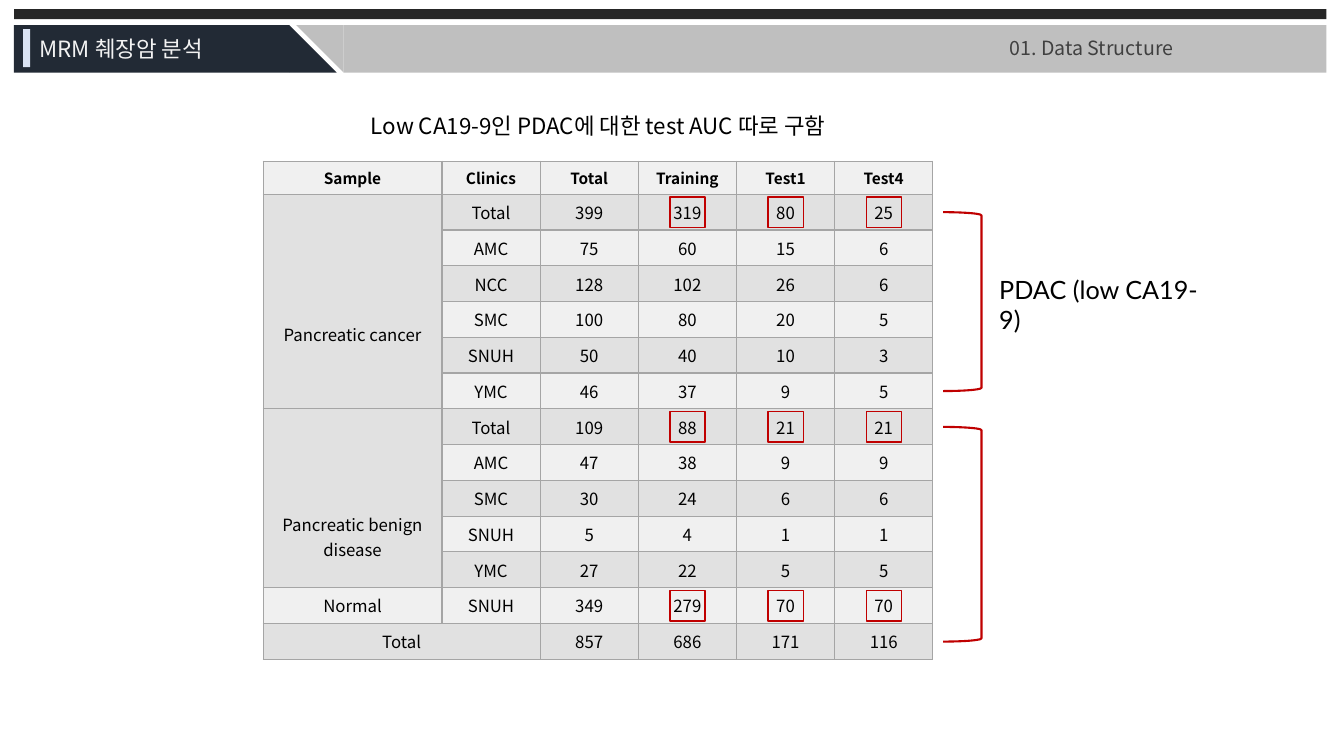
import pptx
import pptx.util
import pptx.dml.color
import pptx.enum.shapes
import pptx.enum.text
import lxml.etree

Pt = pptx.util.Pt
RGBColor = pptx.dml.color.RGBColor
KIND = pptx.enum.shapes.MSO_SHAPE
ALIGN = pptx.enum.text.PP_ALIGN
ANCHOR = pptx.enum.text.MSO_ANCHOR

BLACK = RGBColor(0x00, 0x00, 0x00)
COAL = RGBColor(0x26, 0x26, 0x26)
NAVY = RGBColor(0x22, 0x2A, 0x35)
SILVER = RGBColor(0xBF, 0xBF, 0xBF)
ICE = RGBColor(0xDA, 0xE3, 0xF3)
WHITE = RGBColor(0xF2, 0xF2, 0xF2)
GREY = RGBColor(0x40, 0x40, 0x40)
LIGHT = RGBColor(0xF0, 0xF0, 0xF0)
DARK = RGBColor(0xE1, 0xE1, 0xE1)
RED = RGBColor(0xC0, 0x00, 0x00)
RULE = "A5A5A5"

NOTO = "Noto Sans CJK KR"
LATO = "Lato"
NS = "http://schemas.openxmlformats.org/drawingml/2006/main"

WIDTHS = [127.7] + [70.15] * 5
HEAD, ROW = 23.6, 25.56
MARKED = (1, 7, 12)
ROWS = [
    ["Sample", "Clinics", "Total", "Training", "Test1", "Test4"],
    ["Pancreatic cancer", "Total", 399, 319, 80, 25],
    ["", "AMC", 75, 60, 15, 6],
    ["", "NCC", 128, 102, 26, 6],
    ["", "SMC", 100, 80, 20, 5],
    ["", "SNUH", 50, 40, 10, 3],
    ["", "YMC", 46, 37, 9, 5],
    ["Pancreatic benign\ndisease", "Total", 109, 88, 21, 21],
    ["", "AMC", 47, 38, 9, 9],
    ["", "SMC", 30, 24, 6, 6],
    ["", "SNUH", 5, 4, 1, 1],
    ["", "YMC", 27, 22, 5, 5],
    ["Normal", "SNUH", 349, 279, 70, 70],
    ["Total", "", 857, 686, 171, 116],
]


def style(frame, size, color, face=NOTO, bold=False):
    """Format every run of a text frame."""
    for para in frame.paragraphs:
        for run in para.runs:
            run.font.size = Pt(size)
            run.font.bold = bold
            run.font.color.rgb = color
            run.font.name = face
            east = lxml.etree.SubElement(run.font._element, f"{{{NS}}}ea")
            east.set("typeface", face)


def shape(shapes, kind, box, fill=None, line=None, weight=1):
    """Draw a preset shape with a flat fill or a line."""
    item = shapes.add_shape(kind, *map(Pt, box))
    item.shadow.inherit = False
    if fill is None:
        item.fill.background()
    else:
        item.fill.solid()
        item.fill.fore_color.rgb = fill
    if line is None:
        item.line.fill.background()
    else:
        item.line.color.rgb = line
        item.line.width = Pt(weight)
    return item


def label(slide, box, text, size, color, face=NOTO, anchor=ANCHOR.MIDDLE):
    """Place a wrapped text box."""
    frame = slide.shapes.add_textbox(*map(Pt, box)).text_frame
    frame.word_wrap = True
    frame.vertical_anchor = anchor
    frame.text = text
    style(frame, size, color, face)


def banner(slide, left, top, width):
    """Draw the top strip, the two slanted bars and their labels."""
    bar, tall = top + 11.4, 34
    shape(slide.shapes, KIND.RECTANGLE, (left, top, width, 7.2), COAL)
    shape(slide.shapes, KIND.RECTANGLE, (left, bar, 196.5, tall), NAVY)
    shape(slide.shapes, KIND.RIGHT_TRIANGLE, (left + 196.5, bar, tall, tall), NAVY)
    group = slide.shapes.add_group_shape().shapes
    shape(group, KIND.RECTANGLE, (left + 235.5, bar, width - 235.5, tall), SILVER)
    slant = shape(group, KIND.RIGHT_TRIANGLE, (left + 201.5, bar, tall, tall), SILVER)
    slant.rotation = 180
    shape(slide.shapes, KIND.RECTANGLE, (left + 6.5, bar + 3, 5, 27), ICE)
    label(slide, (left + 11.3, bar + 3, 167, 27), "MRM 췌장암 분석", 16, WHITE)
    label(slide, (left + 704, bar + 4, 240, 25), "01. Data Structure", 14, GREY)


def heading(slide, box):
    """Move and format the title placeholder."""
    title = slide.shapes.title
    title.left, title.top, title.width, title.height = map(Pt, box)
    frame = title.text_frame
    frame.word_wrap = True
    frame.auto_size = pptx.enum.text.MSO_AUTO_SIZE.NONE
    frame.vertical_anchor = ANCHOR.TOP
    frame.text = "Low CA19-9인 PDAC에 대한 test AUC 따로 구함"
    frame.paragraphs[0].alignment = ALIGN.CENTER
    frame.paragraphs[0].line_spacing = 2.0
    style(frame, 16, BLACK)


def edge(cell):
    """Rule all four sides of a cell."""
    props = cell._tc.get_or_add_tcPr()
    for side in ("lnL", "lnR", "lnT", "lnB"):
        line = lxml.etree.SubElement(props, f"{{{NS}}}{side}", w=str(Pt(1)))
        fill = lxml.etree.SubElement(line, f"{{{NS}}}solidFill")
        lxml.etree.SubElement(fill, f"{{{NS}}}srgbClr", val=RULE)


def grid(slide, left, top):
    """Build the sample table with its merged cells."""
    size = (sum(WIDTHS), HEAD + ROW * (len(ROWS) - 1))
    table = slide.shapes.add_table(
        len(ROWS), len(WIDTHS), *map(Pt, (left, top, *size))).table
    table.first_row = table.horz_banding = False
    for col, width in zip(table.columns, WIDTHS):
        col.width = Pt(width)
    for r, values in enumerate(ROWS):
        table.rows[r].height = Pt(ROW if r else HEAD)
        for c, value in enumerate(values):
            cell = table.cell(r, c)
            edge(cell)
            cell.fill.solid()
            cell.fill.fore_color.rgb = DARK if r % 2 else LIGHT
            cell.vertical_anchor = ANCHOR.MIDDLE
            cell.margin_left = cell.margin_right = Pt(5)
            cell.margin_top = cell.margin_bottom = Pt(2)
            cell.text = str(value)
            for para in cell.text_frame.paragraphs:
                para.alignment = ALIGN.CENTER
            style(cell.text_frame, 12 if r else 11, BLACK, bold=r == 0)
    for first, last, drop in ((1, 6, 49), (7, 11, 57)):
        table.cell(first, 0).merge(table.cell(last, 0))
        table.cell(first, 0).margin_top = Pt(drop)
    table.cell(13, 0).merge(table.cell(13, 1))


def marks(slide, left, top):
    """Frame key counts and bracket the row groups of the table."""
    def mid(row):
        """Give the middle height of a body row."""
        return top + HEAD + ROW * (row - 0.5)

    wide, tall = 25.2, 21.6
    for col in (3, 4, 5):
        x = left + sum(WIDTHS[:col]) + (WIDTHS[col] - wide) / 2
        for row in MARKED:
            box = (x, mid(row) - tall / 2, wide, tall)
            shape(slide.shapes, KIND.RECTANGLE, box, line=RED)
    right = left + sum(WIDTHS) + 7.2
    for first, last in ((1, 6), (7, 13)):
        box = (right, mid(first), 27.4, mid(last) - mid(first))
        shape(slide.shapes, KIND.RIGHT_BRACKET, box, line=RED, weight=1.5)
    label(slide, (right + 33, top + 77, 166.3, 29), "PDAC (low CA19-9)",
          18, BLACK, LATO, ANCHOR.TOP)


def main():
    """Build and save the slide."""
    deck = pptx.Presentation()
    deck.slide_width, deck.slide_height = Pt(960), Pt(540)
    slide = deck.slides.add_slide(deck.slide_layouts[5])
    banner(slide, 10, 6.5, 937.5)
    heading(slide, (95, 57.6, 664.6, 85))
    grid(slide, 188, 115.2)
    marks(slide, 188, 115.2)
    deck.save("out.pptx")


if __name__ == "__main__":
    main()
